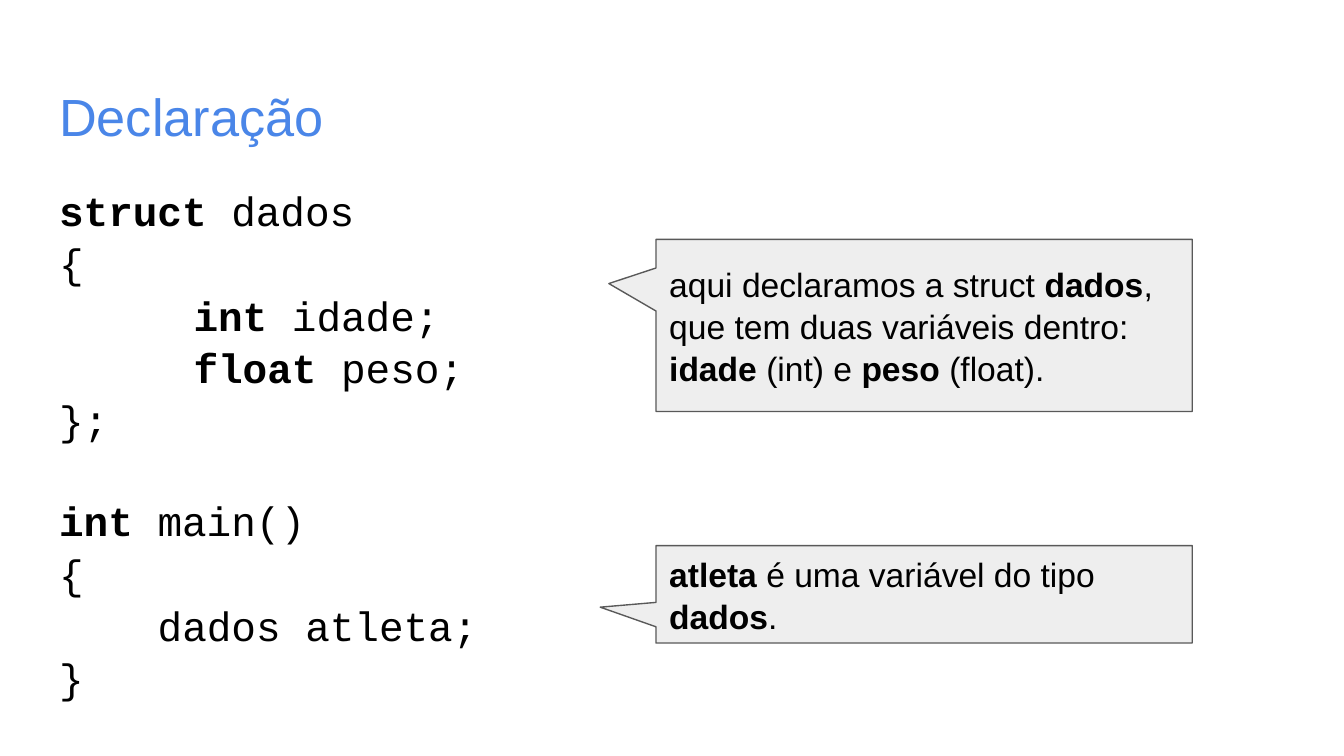
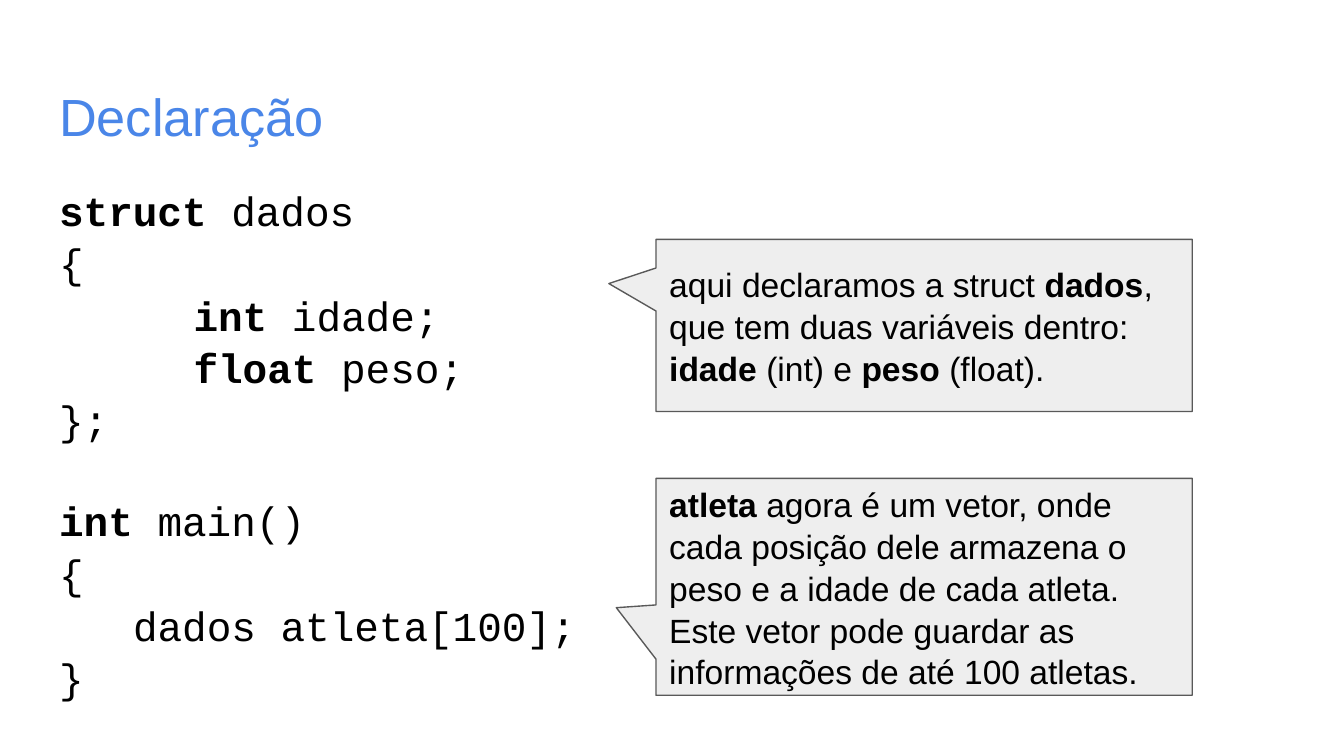
import pptx
import pptx.util
import pptx.dml.color
import pptx.enum.shapes
import pptx.enum.text

Pt = pptx.util.Pt
RGBColor = pptx.dml.color.RGBColor
ANCHOR = pptx.enum.text.MSO_ANCHOR

BLUE = RGBColor(0x4A, 0x86, 0xE8)
BLACK = RGBColor(0x00, 0x00, 0x00)
LIGHT = RGBColor(0xEE, 0xEE, 0xEE)
GRAY = RGBColor(0x59, 0x59, 0x59)

CODE_SIZE = 22
CHAR = 13.2   # width of one code character
LINE = 26.4   # height of one code line
TAB = 72


def setup_frame(tf, anchor):
    tf.word_wrap = True
    tf.auto_size = pptx.enum.text.MSO_AUTO_SIZE.NONE
    tf.vertical_anchor = anchor
    tf.margin_left = tf.margin_right = tf.margin_top = tf.margin_bottom = Pt(7.2)


def write(p, text, font, size, color, spacing, before=0):
    """Fill a paragraph; text between ** marks is bold."""
    p.alignment = pptx.enum.text.PP_ALIGN.LEFT
    p.line_spacing = spacing
    p.space_before = Pt(before)
    p.space_after = Pt(0)
    for i, part in enumerate(text.split("**")):
        if part:
            r = p.add_run()
            r.text = part
            r.font.name = font
            r.font.size = Pt(size)
            r.font.bold = i % 2 == 1
            r.font.color.rgb = color


# Content: the declaration in main, its indent in characters, and the callouts
# as (top, height, tip x, tip y, text)
struct_callout = (128.2, 92.2, -0.588, -0.243,
                  "aqui declaramos a struct **dados**, que tem duas variáveis "
                  "dentro: **idade **(int) e **peso **(float).")
slides = [
    ("dados atleta;", 4,
     (292.3, 52.2, -0.604, 0.132,
      "**atleta **é uma variável do tipo **dados**.")),
    ("dados atleta[100];", 3,
     (256.3, 116.2, -0.574, 0.096,
      "**atleta **agora é um vetor, onde cada posição dele armazena o peso e a "
      "idade de cada atleta. Este vetor pode guardar as informações de até "
      "100 atletas.")),
]

prs = pptx.Presentation()
prs.slide_width, prs.slide_height = Pt(720), Pt(405)

for declaration, indent, main_callout in slides:
    s = prs.slides.add_slide(prs.slide_layouts[1])

    # Title
    sp = s.shapes.title
    sp.left, sp.top, sp.width, sp.height = Pt(24.5), Pt(35), Pt(671), Pt(45.1)
    setup_frame(sp.text_frame, ANCHOR.TOP)
    write(sp.text_frame.paragraphs[0], "Declaração", "Arial", 28, BLUE, 1.09)

    # Code: (text, left indent, space before)
    code = [
        ("**struct **dados", 0, 3),
        ("{", 0, 0),
        ("**int **idade;", TAB, 0),
        ("**float **peso;", TAB, 0),
        ("};", 0, 0),
        ("**int** main()", 0, LINE),
        ("{", 0, 0),
        (declaration, indent * CHAR, 0),
        ("}", 0, 0),
    ]
    sp = s.placeholders[1]
    sp.left, sp.top, sp.width, sp.height = Pt(24.5), Pt(90.7), Pt(314.6), Pt(269.3)
    tf = sp.text_frame
    setup_frame(tf, ANCHOR.TOP)
    for i, (text, left, before) in enumerate(code):
        p = tf.add_paragraph() if i else tf.paragraphs[0]
        write(p, text, "Courier New", CODE_SIZE, BLACK, 1.06, before)
        pPr = p._p.get_or_add_pPr()
        pPr.set("marL", str(int(Pt(left))))
        pPr.set("indent", "0")
        pPr.append(pptx.oxml.parse_xml(
            '<a:buNone xmlns:a="http://schemas.openxmlformats.org/drawingml/2006/main"/>'))

    # Callouts
    for top, height, tip_x, tip_y, text in (struct_callout, main_callout):
        sp = s.shapes.add_shape(
            pptx.enum.shapes.MSO_SHAPE.RECTANGULAR_CALLOUT,
            Pt(351.4), Pt(top), Pt(287.3), Pt(height))
        sp.adjustments[0], sp.adjustments[1] = tip_x, tip_y
        sp.shadow.inherit = False
        sp.fill.solid()
        sp.fill.fore_color.rgb = LIGHT
        sp.line.color.rgb = GRAY
        sp.line.width = Pt(0.75)
        setup_frame(sp.text_frame, ANCHOR.MIDDLE)
        write(sp.text_frame.paragraphs[0], text, "Arial", 18, BLACK, 1.04)

prs.save("out.pptx")
